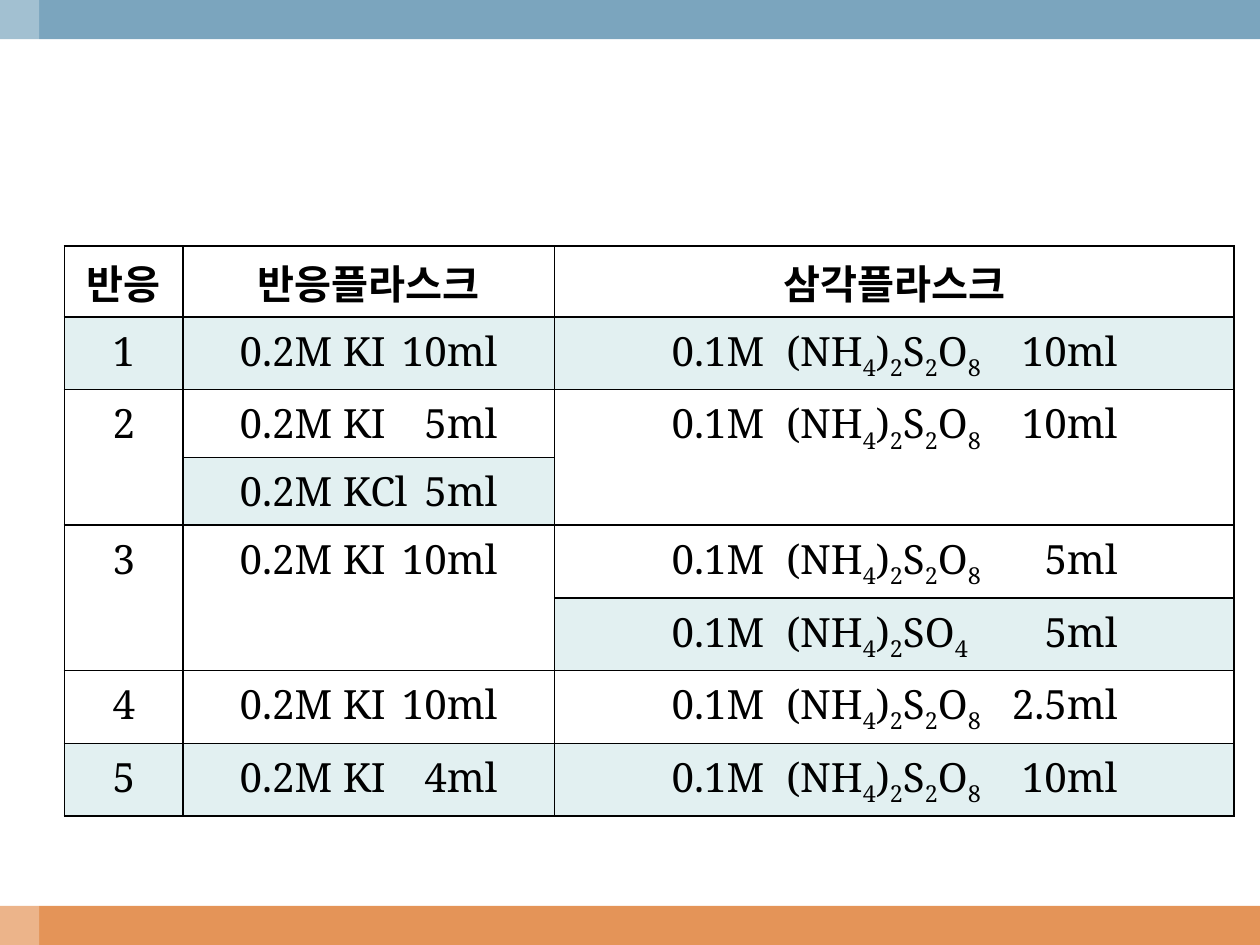
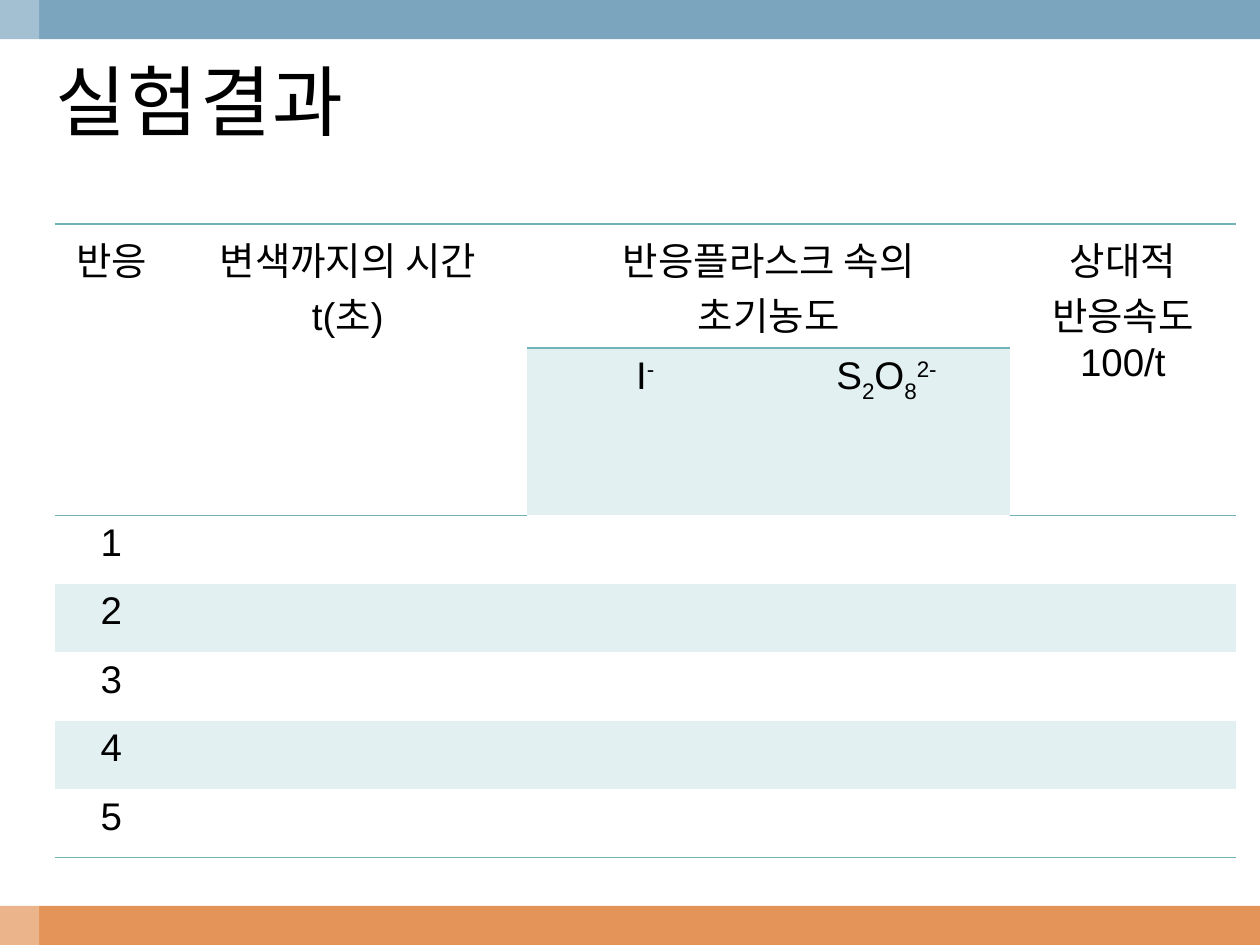
from lxml import etree
from pptx import Presentation
from pptx import util as u
from pptx.dml.color import RGBColor
from pptx.enum import shapes, text
from pptx.oxml.ns import qn

COLORS = {"blue": "7BA5BE", "orange": "E49458", "teal": "70B4B7",
          "tint": "E2F0F1", "white": "FFFFFF", "black": "000000"}
NO_GRID_STYLE = "{2D5ABB26-0587-4C30-8999-92F81FD0307C}"
BASELINES = {"_": "-25000", "^": "30000"}


def write_para(para, marked, size, font, bold=False):
    """Write pieces split by |; a leading _ lowers a piece and ^ raises it."""
    para.alignment = text.PP_ALIGN.CENTER
    for piece in marked.split("|"):
        span = para.add_run()
        span.text = piece.lstrip("_^")
        span.font.size, span.font.name, span.font.bold = u.Pt(size), font, bold
        span.font.color.rgb = RGBColor.from_string(COLORS["black"])
        if piece[0] in BASELINES:
            span._r.get_or_add_rPr().set("baseline", BASELINES[piece[0]])


def draw_borders(cell, sides, color):
    """Draw 1 pt lines on the given sides, listed in the order L, R, T, B."""
    props = cell._tc.get_or_add_tcPr()
    for index, side in enumerate(sides):
        line = etree.Element(qn(f"a:ln{side}"), w="12700")
        fill = etree.SubElement(line, qn("a:solidFill"))
        etree.SubElement(fill, qn("a:srgbClr"), val=COLORS[color])
        props.insert(index, line)


deck = Presentation()
deck.slide_width, deck.slide_height = u.Cm(25.4), u.Cm(19.05)
recipe_page = deck.slides.add_slide(deck.slide_layouts[6])
result_page = deck.slides.add_slide(deck.slide_layouts[5])

# Shared bands, placed on the slide master behind everything
bands = [("orange", 0, 18.26, 25.4, 0.79),
         ("blue", 0, 0, 25.4, 0.79),
         ("white", 0, 0, 0.79, 19.05)]
for index, (color, *place) in enumerate(bands):
    band = recipe_page.shapes.add_shape(shapes.MSO_SHAPE.RECTANGLE, *map(u.Cm, place))
    band.shadow.inherit = False
    band.fill.solid()
    band.fill.fore_color.rgb = RGBColor.from_string(COLORS[color])
    band.line.fill.background()
    if color == "white":
        tone = band._element.spPr.find(".//" + qn("a:srgbClr"))
        etree.SubElement(tone, qn("a:alpha"), val="30000")
    band._element.nvSpPr.cNvPr.set("id", str(100 + index))
    deck.slide_master.shapes._spTree.insert(2 + index, band._element)

# Title of the results page
title = result_page.shapes.title
title.left, title.top, title.width, title.height = map(u.Cm, (0.86, 0.91, 9.22, 2.21))
title.text_frame.text = "실험결과"
title.text_frame.auto_size = text.MSO_AUTO_SIZE.NONE
title.text_frame.vertical_anchor = text.MSO_ANCHOR.MIDDLE
para = title.text_frame.paragraphs[0]
para.alignment = text.PP_ALIGN.LEFT
span = para.runs[0]
span.font.size, span.font.name = u.Pt(44), "Noto Serif"
span.font.color.rgb = RGBColor.from_string(COLORS["black"])
span._r.get_or_add_rPr().set("spc", "100")

# Table contents
persulfate = "0.1M\t(NH|_4|)|_2|S|_2|O|_8|\t"
recipes = [
    ["반응", "반응플라스크", "삼각플라스크"],
    ["1", "0.2M KI\t10ml", persulfate + "10ml"],
    ["2", "0.2M KI\t5ml", persulfate + "10ml"],
    ["", "0.2M KCl\t5ml", ""],
    ["3", "0.2M KI\t10ml", persulfate + "5ml"],
    ["", "", "0.1M\t(NH|_4|)|_2|SO|_4|\t5ml"],
    ["4", "0.2M KI\t10ml", persulfate + "2.5ml"],
    ["5", "0.2M KI\t4ml", persulfate + "10ml"],
]
results = [
    ["반응", "변색까지의 시간 t(초)", "반응플라스크 속의\n초기농도", "", "상대적\n반응속도 100/t"],
    ["", "", "I|^-", "S|_2|O|_8|^2-", ""],
] + [[str(number), "", "", "", ""] for number in range(1, 6)]

# Each merge is first row, first column, last row, last column
tables = [
    dict(page=recipe_page, rows=recipes, left=1.3, top=4.96, size=23, font="Noto Serif",
         widths=[2.39, 7.49, 13.7],
         heights=[1.43, 1.45, 1.37, 1.36, 1.47, 1.45, 1.47, 1.45],
         merges=[(2, 0, 3, 0), (2, 2, 3, 2), (4, 0, 5, 0), (4, 1, 5, 1)],
         tinted={(1, 0), (1, 1), (1, 2), (3, 1), (5, 2), (7, 0), (7, 1), (7, 2)}),
    dict(page=result_page, rows=results, left=1.1, top=4.52, size=22, font="Arial",
         widths=[2.29, 7.24, 4.75, 4.98, 4.55],
         heights=[2.5, 3.37] + [1.38] * 5,
         merges=[(0, 0, 1, 0), (0, 1, 1, 1), (0, 2, 0, 3), (0, 4, 1, 4)],
         tinted={(1, 2), (1, 3)} | {(r, c) for r in (3, 5) for c in range(5)}),
]

# Build both tables
grids = []
for plan in tables:
    frame = plan["page"].shapes.add_table(
        len(plan["rows"]), len(plan["widths"]), u.Cm(plan["left"]), u.Cm(plan["top"]),
        u.Cm(sum(plan["widths"])), u.Cm(sum(plan["heights"])))
    grid = frame.table
    grids.append(grid)
    grid.first_row = grid.horz_banding = False
    grid._tbl.tblPr.find(qn("a:tableStyleId")).text = NO_GRID_STYLE
    for column, width in zip(grid.columns, plan["widths"]):
        column.width = u.Cm(width)
    for row, height in zip(grid.rows, plan["heights"]):
        row.height = u.Cm(height)
    for r, row in enumerate(plan["rows"]):
        for c, words in enumerate(row):
            cell = grid.cell(r, c)
            if (r, c) in plan["tinted"]:
                cell.fill.solid()
                cell.fill.fore_color.rgb = RGBColor.from_string(COLORS["tint"])
            else:
                cell.fill.background()
            for n, marked in enumerate(words.split("\n") if words else []):
                box = cell.text_frame
                para = box.add_paragraph() if n else box.paragraphs[0]
                bold = plan["page"] is recipe_page and r == 0
                write_para(para, marked, plan["size"], plan["font"], bold)
    for top, left, bottom, right in plan["merges"]:
        grid.cell(top, left).merge(grid.cell(bottom, right))

# Recipe table: full grid, amounts lined up on tab stops
recipe_grid, result_grid = grids
stops = {1: (1.14, [("r", 5.2)]), 2: (2.36, [("l", 2.31), ("r", 8.99)])}
for r, row in enumerate(recipes):
    for c, words in enumerate(row):
        cell = recipe_grid.cell(r, c)
        draw_borders(cell, "LRTB", "black")
        if "\t" in words:
            margin, tabs = stops[c]
            cell.margin_left = u.Cm(margin)
            para = cell.text_frame.paragraphs[0]
            para.alignment = text.PP_ALIGN.LEFT
            tab_list = etree.SubElement(para._p.get_or_add_pPr(), qn("a:tabLst"))
            for align, place in tabs:
                etree.SubElement(tab_list, qn("a:tab"), pos=str(u.Cm(place)), algn=align)

# Result table: lines around the heading and under the last row
for c in range(5):
    draw_borders(result_grid.cell(0, c), "TB", "teal")
    draw_borders(result_grid.cell(6, c), "B", "teal")
    if c not in (2, 3):
        draw_borders(result_grid.cell(1, c), "B", "teal")

deck.save("out.pptx")
